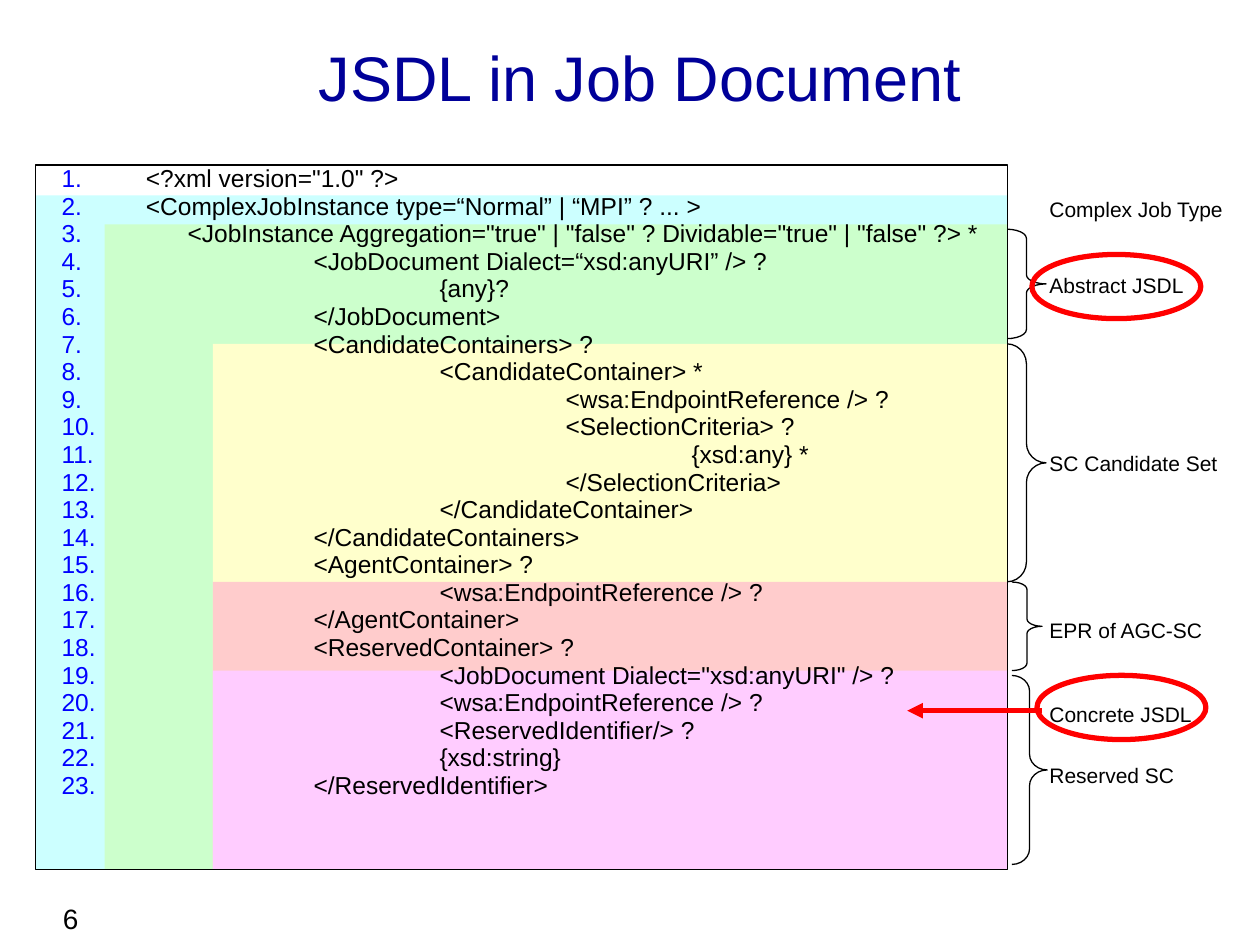
"""Build the slide that explains JSDL in a job document."""
import pptx
import pptx.util
from lxml import etree
from pptx.dml.color import RGBColor
from pptx.enum.shapes import MSO_CONNECTOR, MSO_SHAPE
from pptx.enum.text import MSO_ANCHOR, MSO_AUTO_SIZE, PP_ALIGN
from pptx.oxml.ns import qn

Pt = pptx.util.Pt

CODE_LINES = [
    (0, '<?xml version="1.0" ?>'),
    (0, '<ComplexJobInstance type=“Normal” | “MPI” ? ... >'),
    (1, '<JobInstance Aggregation="true" | "false" ? Dividable="true" | "false" ?> *'),
    (2, '<JobDocument Dialect=“xsd:anyURI” /> ?'),
    (3, '{any}?'),
    (2, '</JobDocument>'),
    (2, '<CandidateContainers> ?'),
    (3, '<CandidateContainer> *'),
    (4, '<wsa:EndpointReference /> ?'),
    (4, '<SelectionCriteria> ?'),
    (5, '{xsd:any} *'),
    (4, '</SelectionCriteria>'),
    (3, '</CandidateContainer>'),
    (2, '</CandidateContainers>'),
    (2, '<AgentContainer> ?'),
    (3, '<wsa:EndpointReference /> ?'),
    (2, '</AgentContainer>'),
    (2, '<ReservedContainer> ?'),
    (3, '<JobDocument Dialect="xsd:anyURI" /> ?'),
    (3, '<wsa:EndpointReference /> ?'),
    (3, '<ReservedIdentifier/> ?'),
    (3, '{xsd:string}'),
    (2, '</ReservedIdentifier>'),
]
LABELS = [
    ("Complex Job Type", 0),
    ("Abstract JSDL", 29),
    ("SC Candidate Set", 87.3),
    ("EPR of AGC-SC", 81),
    ("Concrete JSDL", 33.6),
    ("Reserved SC", 20.5),
]
FRAME_LEFT, FRAME_TOP, FRAME_RIGHT, FRAME_BOTTOM = 20.2, 94.3, 575.7, 496.8
BANDS = [
    (FRAME_LEFT, 111.6, "CCFFFF"),
    (59.8, 128.2, "CCFFCC"),
    (121.7, 196.5, "FFFFCC"),
    (121.7, 332.5, "FFCCCC"),
    (121.7, 383.2, "FFCCFF"),
]
BRACES = [
    (575.3, 131, 22.5, 62.6),
    (575.3, 196.5, 22.5, 136),
    (578.2, 332.6, 17.3, 50.6),
    (578.2, 386, 20.2, 108),
]
RINGS = [(589.7, 145.4), (592.6, 385.9)]
RING_WIDTH, RING_HEIGHT = 96.5, 36.7
NUMBER_INDENT = 48.2
TAB_STEP = 72

deck = pptx.Presentation()
deck.slide_width, deck.slide_height = Pt(720), Pt(540)
slide = deck.slides.add_slide(deck.slide_layouts[6])


def colour(value):
    return RGBColor.from_string(value)


def add_outline(preset, left, top, width, height, fill=None, line=None, weight=0.75):
    shape = slide.shapes.add_shape(preset, Pt(left), Pt(top), Pt(width), Pt(height))
    shape.shadow.inherit = False
    if fill:
        shape.fill.solid()
        shape.fill.fore_color.rgb = colour(fill)
    else:
        shape.fill.background()
    if line:
        shape.line.color.rgb = colour(line)
        shape.line.width = Pt(weight)
    else:
        shape.line.fill.background()
    return shape


def add_number_and_tabs(paragraph):
    properties = paragraph._p.get_or_add_pPr()
    properties.set("marL", str(Pt(NUMBER_INDENT)))
    properties.set("indent", str(-Pt(NUMBER_INDENT)))
    number_colour = etree.SubElement(properties, qn("a:buClr"))
    etree.SubElement(number_colour, qn("a:srgbClr"), val="0000FF")
    etree.SubElement(properties, qn("a:buFont"), typeface="Arial")
    etree.SubElement(properties, qn("a:buAutoNum"), type="arabicPeriod")
    tabs = etree.SubElement(properties, qn("a:tabLst"))
    for stop in range(1, 9):
        etree.SubElement(tabs, qn("a:tab"), pos=str(Pt(stop * TAB_STEP)), algn="l")


def add_text(paragraphs, left, top, width, height, size, ink="000000", align=PP_ALIGN.LEFT,
             anchor=MSO_ANCHOR.TOP, spacing=None, wrap=True, numbered=False):
    box = slide.shapes.add_textbox(Pt(left), Pt(top), Pt(width), Pt(height))
    frame = box.text_frame
    frame.word_wrap = wrap
    frame.auto_size = MSO_AUTO_SIZE.NONE if wrap else MSO_AUTO_SIZE.SHAPE_TO_FIT_TEXT
    frame.vertical_anchor = anchor
    for index, (words, space_before) in enumerate(paragraphs):
        paragraph = frame.add_paragraph() if index else frame.paragraphs[0]
        paragraph.alignment = align
        if spacing:
            paragraph.line_spacing = spacing
        if space_before:
            paragraph.space_before = Pt(space_before)
        if numbered:
            add_number_and_tabs(paragraph)
        run = paragraph.add_run()
        run.text = words
        run.font.name = "Arial"
        run.font.size = Pt(size)
        run.font.color.rgb = colour(ink)


add_text([("6", 0)], 5.8, 511.9, 46, 28, size=16, align=PP_ALIGN.RIGHT)
add_text([("JSDL in Job Document", 0)], 87.8, 15.1, 555.8, 56.9, size=36, ink="000099",
         align=PP_ALIGN.CENTER, anchor=MSO_ANCHOR.MIDDLE)

for left, top, width, height in BRACES:
    brace = add_outline(MSO_SHAPE.RIGHT_BRACE, left, top, width, height, line="000000")
    brace.adjustments[0] = height / 12 / width

for left, top, fill in BANDS:
    add_outline(MSO_SHAPE.RECTANGLE, left, top, FRAME_RIGHT - left, FRAME_BOTTOM - top, fill=fill)
add_outline(MSO_SHAPE.RECTANGLE, FRAME_LEFT, FRAME_TOP, FRAME_RIGHT - FRAME_LEFT,
            FRAME_BOTTOM - FRAME_TOP, line="000000")

add_text(LABELS, 592.6, 108.7, 114.5, 342.7, size=12, wrap=False)
code = [("\t" * depth + words, 4 if row else 0) for row, (depth, words) in enumerate(CODE_LINES)]
add_text(code, 28.1, 94.3, 544.3, 391, size=14, spacing=0.7, numbered=True)

arrow = slide.shapes.add_connector(MSO_CONNECTOR.STRAIGHT, Pt(595.5), Pt(406.1), Pt(518.4), Pt(406.1))
arrow.line.color.rgb = colour("FF0000")
arrow.line.width = Pt(3)
etree.SubElement(arrow.line._get_or_add_ln(), qn("a:tailEnd"), type="triangle")
etree.SubElement(arrow._element.spPr, qn("a:effectLst"))

for left, top in RINGS:
    add_outline(MSO_SHAPE.OVAL, left, top, RING_WIDTH, RING_HEIGHT, line="FF0000", weight=3)

deck.save("out.pptx")
